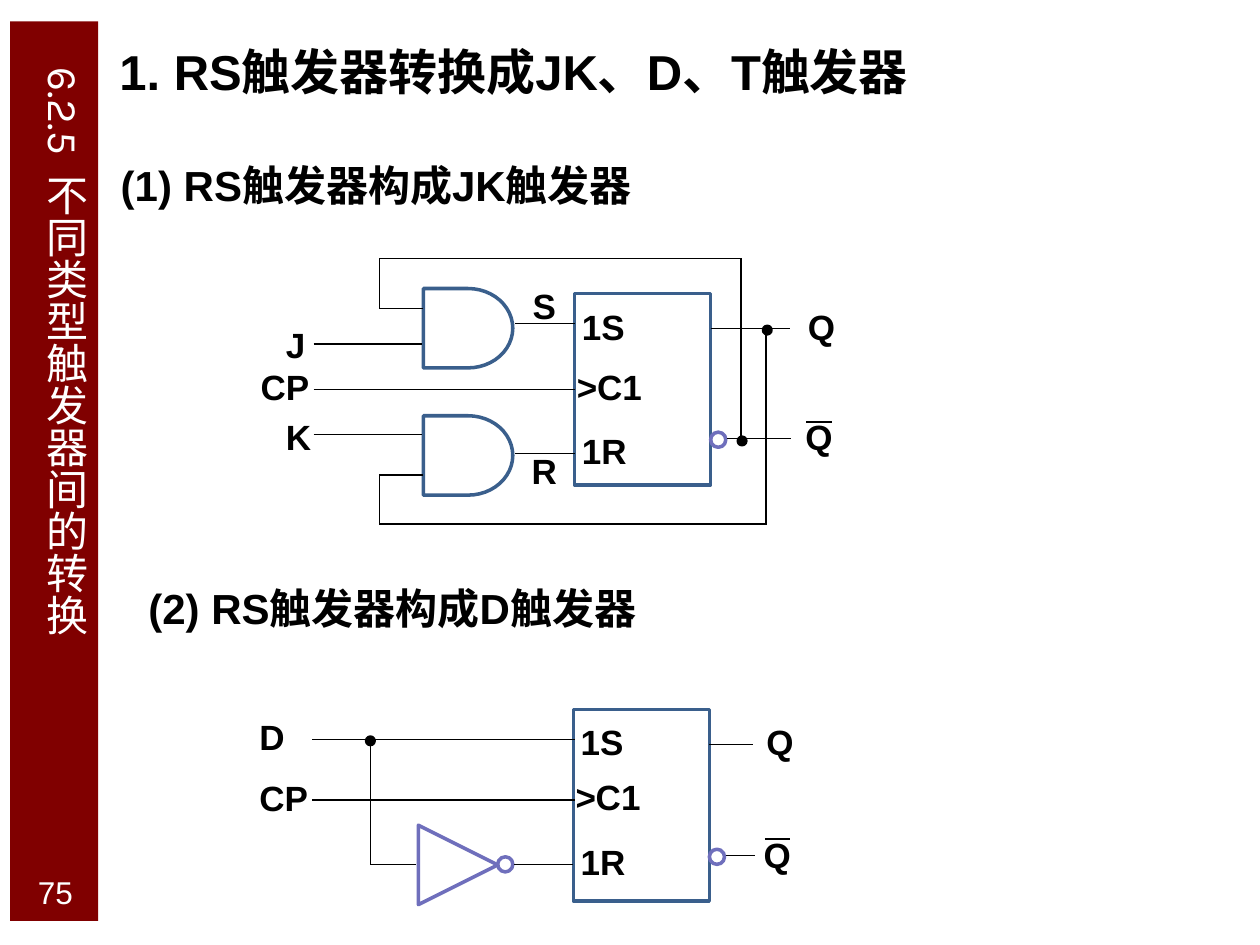
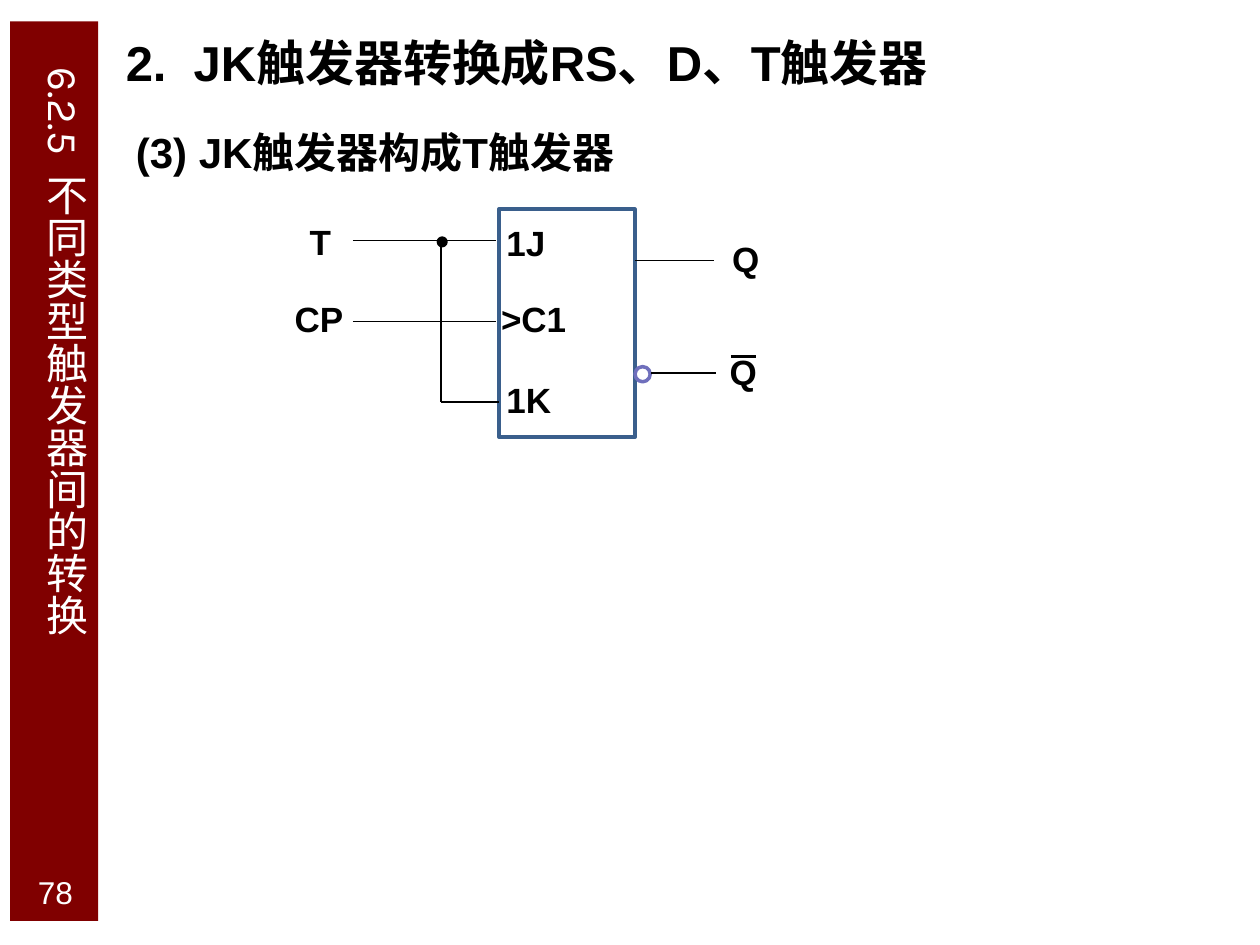
from lxml import etree
from pptx import Presentation
from pptx.dml.color import RGBColor
from pptx.enum import shapes, text
from pptx.oxml import ns
from pptx.util import Inches, Pt

MAROON = RGBColor(0x80, 0x00, 0x00)
WHITE = RGBColor(0xFF, 0xFF, 0xFF)
BLACK = RGBColor(0x00, 0x00, 0x00)
STEEL = RGBColor(0x3A, 0x5F, 0x8C)
VIOLET = RGBColor(0x6F, 0x6F, 0xBC)

KIND = shapes.MSO_SHAPE
CENTER = text.PP_ALIGN.CENTER
SECTION = "6.2.5  不同类型触发器间的转换"
BLOCK_WIDTH = 1.08
LABEL_SIZE = (0.64, 0.4)


class Lesson:
    def __init__(self):
        self.deck = Presentation()
        self.deck.slide_width = Inches(10)
        self.deck.slide_height = Inches(7.5)
        self.page = None

    def start(self, number):
        self.page = self.deck.slides.add_slide(self.deck.slide_layouts[6])
        self.shape(KIND.RECTANGLE, 0.08, 0.17, 0.7, 7.14, fill=MAROON)
        badge = self.shape(KIND.RECTANGLE, 0.12, 6.9, 0.64, 0.35)
        self.set_words(badge, number, 18, WHITE, align=CENTER)
        section = self.page.shapes.add_textbox(
            *map(Inches, (0.12, 0.44, 0.65, 6.72)))
        self.set_words(section, SECTION, 24, WHITE, font="Karla")
        section.text_frame._txBody.bodyPr.set("vert", "eaVert")

    def set_words(self, box, words, size, color, font="Arial", bold=False, align=None):
        frame = box.text_frame
        frame.word_wrap = True
        para = frame.paragraphs[0]
        para.text = words
        para.alignment = align
        para.font.name = font
        para.font.size = Pt(size)
        para.font.bold = bold
        para.font.color.rgb = color
        return para

    def text(self, words, left, top, width, height, size, align=None):
        box = self.page.shapes.add_textbox(
            *map(Inches, (left, top, width, height)))
        para = self.set_words(box, words, size, BLACK, bold=True, align=align)
        para.line_spacing = 0.9
        box.text_frame.auto_size = text.MSO_AUTO_SIZE.SHAPE_TO_FIT_TEXT

    def title(self, words, left, top):
        self.text(words, left, top, 9.1, 0.53, 28)

    def heading(self, words, left, top):
        self.text(words, left, top, 8.63, 0.5, 24)

    def label(self, words, left, top, align=None):
        self.text(words, left, top, *LABEL_SIZE, 20, align)

    def shape(self, kind, left, top, width, height, fill=None, line=None):
        shape = self.page.shapes.add_shape(
            kind, *map(Inches, (left, top, width, height)))
        shape.shadow.inherit = False
        if fill is None:
            shape.fill.background()
        else:
            shape.fill.solid()
            shape.fill.fore_color.rgb = fill
        if line is None:
            shape.line.fill.background()
        else:
            shape.line.color.rgb = line
            shape.line.width = Pt(2)
        return shape

    def wire(self, x1, y1, x2, y2, width=0.75):
        wire = self.page.shapes.add_connector(
            shapes.MSO_CONNECTOR.STRAIGHT, *map(Inches, (x1, y1, x2, y2)))
        wire.line.color.rgb = BLACK
        wire.line.width = Pt(width)
        etree.SubElement(wire._element.spPr, ns.qn("a:effectLst"))
        return wire

    def wires(self, *ends):
        for end in ends:
            self.wire(*end)

    def dot(self, left, top):
        self.shape(KIND.OVAL, left, top, 0.06, 0.06, fill=BLACK, line=BLACK)

    def bubble(self, left, top):
        self.shape(KIND.OVAL, left, top, 0.12, 0.12, line=VIOLET)

    def and_gate(self, left, top):
        self.shape(KIND.FLOWCHART_DELAY, left, top, 0.71, 0.63, line=STEEL)

    def inverter(self, left, top):
        triangle = self.shape(
            KIND.ISOSCELES_TRIANGLE, left, top, 0.63, 0.63, line=VIOLET)
        triangle.rotation = 90
        self.bubble(left + 0.63, top + 0.25)

    def flip_flop(self, left, top, height, pins, clock_top,
                  q_left, q_top, q_bar_top, wire_end):
        block = self.shape(
            KIND.RECTANGLE, left, top, BLOCK_WIDTH, height, line=STEEL)
        for pin, pin_top in pins:
            self.label(pin, left - 0.04, pin_top)
        self.label(">", left - 0.08, clock_top)
        self.label("C1", left + 0.08, clock_top)
        right = left + BLOCK_WIDTH
        self.label("Q", q_left, q_top, CENTER)
        self.wire(right, q_top + 0.2, wire_end, q_top + 0.2)
        bar_left = q_left - 0.02
        self.label("Q", bar_left, q_bar_top, CENTER)
        self.wire(bar_left + 0.22, q_bar_top + 0.06,
                  bar_left + 0.42, q_bar_top + 0.06, 1.5)
        self.bubble(right, q_bar_top + 0.14)
        self.wire(right + 0.13, q_bar_top + 0.19,
                  wire_end + 0.01, q_bar_top + 0.19)
        return block


def rs_to_jk(lesson):
    lesson.heading("(1) RS触发器构成JK触发器", 0.86, 1.26)
    block = lesson.flip_flop(
        4.56, 2.33, 1.52, [("1S", 2.41), ("1R", 3.4)], 2.89,
        6.2, 2.41, 3.29, 6.27)
    for gate_top in (2.29, 3.3):
        lesson.and_gate(3.36, gate_top)
    for name, left, top in (("J", 2.17, 2.56), ("CP", 1.97, 2.89), ("K", 2.17, 3.29)):
        lesson.label(name, left, top)
    for name, top in (("S", 2.25), ("R", 3.56)):
        lesson.label(name, 4, top, CENTER)
    clock = lesson.wire(2.49, 3.09, 4.56, 3.09)
    clock.end_connect(block, 1)
    lesson.wires(
        (2.49, 2.73, 3.35, 2.73), (2.49, 3.45, 3.35, 3.45),
        (4.09, 2.57, 4.56, 2.57), (4.09, 3.6, 4.56, 3.6),
        (5.88, 3.51, 5.88, 2.05), (5.88, 2.05, 3.01, 2.05),
        (3.01, 2.05, 3.01, 2.45), (3.01, 2.45, 3.36, 2.45),
        (6.08, 2.61, 6.08, 4.17), (6.08, 4.16, 3.01, 4.16),
        (3.01, 4.16, 3.01, 3.77), (3.01, 3.77, 3.36, 3.77))
    lesson.dot(6.06, 2.59)
    lesson.dot(5.86, 3.47)


def rs_to_d(lesson):
    lesson.heading("(2) RS触发器构成D触发器", 1.08, 4.62)
    lesson.flip_flop(
        4.55, 5.63, 1.52, [("1S", 5.71), ("1R", 6.66)], 6.14,
        5.87, 5.71, 6.6, 5.98)
    lesson.inverter(3.32, 6.55)
    lesson.label("D", 1.96, 5.67)
    lesson.label("CP", 1.96, 6.15)
    lesson.wires(
        (2.48, 5.87, 4.56, 5.87), (2.48, 6.35, 4.56, 6.35),
        (2.94, 5.87, 2.94, 6.86), (2.94, 6.86, 3.3, 6.86),
        (4.08, 6.86, 4.55, 6.86))
    lesson.dot(2.91, 5.85)


def jk_to_t(lesson):
    lesson.heading("(3) JK触发器构成T触发器", 0.98, 1)
    lesson.flip_flop(
        3.96, 1.66, 1.81, [("1J", 1.75), ("1K", 2.99)], 2.35,
        5.6, 1.87, 2.77, 5.67)
    lesson.label("T", 2.36, 1.74)
    lesson.label("CP", 2.24, 2.35)
    lesson.wires(
        (2.8, 1.91, 3.94, 1.91), (2.8, 2.55, 3.94, 2.55),
        (3.5, 1.91, 3.5, 3.19), (3.5, 3.19, 3.96, 3.19))
    lesson.dot(3.48, 1.89)


def main():
    lesson = Lesson()
    lesson.start("75")
    lesson.title("1. RS触发器转换成JK、D、T触发器", 0.85, 0.33)
    rs_to_jk(lesson)
    rs_to_d(lesson)
    lesson.start("78")
    lesson.title("2.  JK触发器转换成RS、D、T触发器", 0.9, 0.26)
    jk_to_t(lesson)
    lesson.deck.save("out.pptx")


if __name__ == "__main__":
    main()
